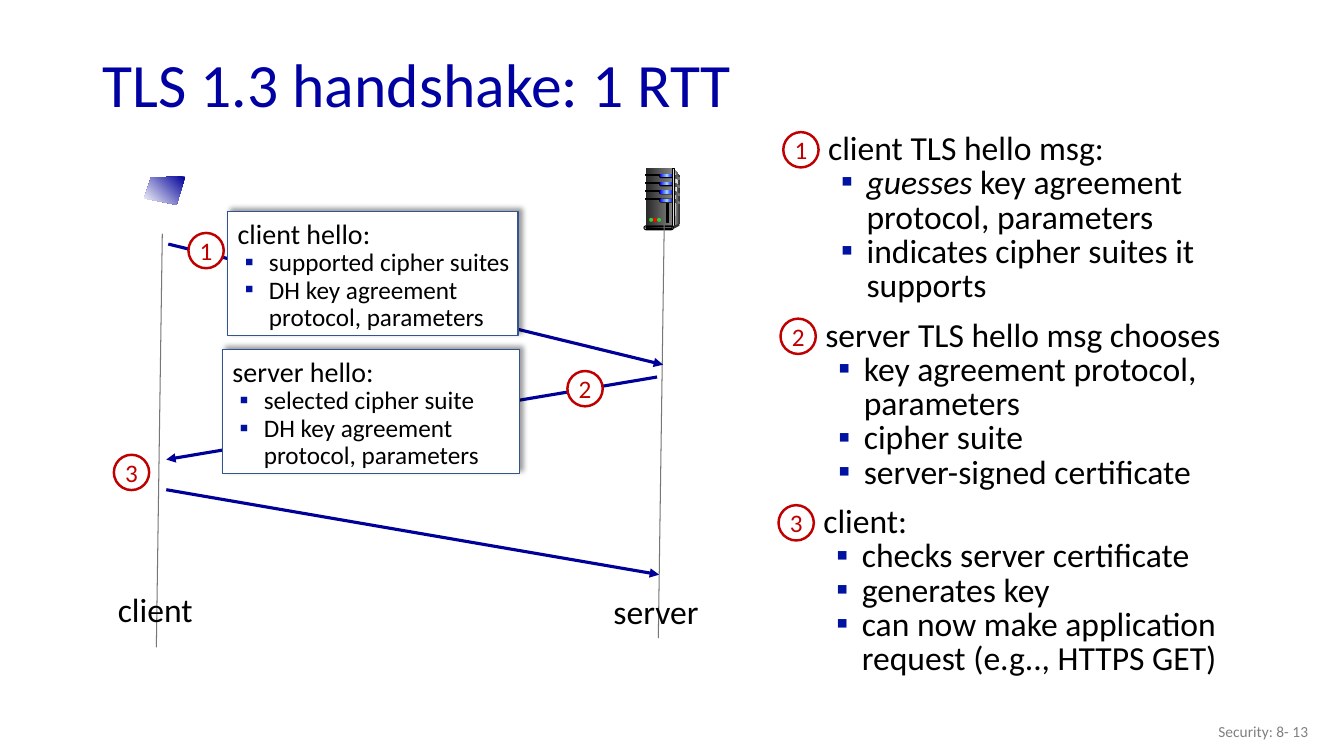
from lxml import etree
from pptx import Presentation
from pptx.dml.color import RGBColor
from pptx.enum.shapes import MSO_CONNECTOR, MSO_SHAPE as SHAPE
from pptx.enum.text import MSO_ANCHOR as ANCHOR, PP_ALIGN as ALIGN
from pptx.oxml import parse_xml
from pptx.oxml.ns import nsdecls, qn
from pptx.util import Cm, Pt

# Content; all lengths are in centimetres
TITLE = "TLS 1.3 handshake: 1 RTT"
FOOTER = "Security: 8- 13"
CARDS = [  # box, heading, bullets
    ((5.74, 5.33, 7.32, 3.12), "client hello:",
     ["supported cipher suites", "DH key agreement protocol, parameters"]),
    ((5.61, 8.81, 7.49, 3.12), "server hello:",
     ["selected cipher suite", "DH key agreement protocol, parameters"]),
]
STEPS = [  # left, heading, bullets; a tuple starts with its italic words
    (20.62, "client TLS hello msg:",
     [("guesses ", "key agreement protocol, parameters"),
      "indicates cipher suites it supports"]),
    (20.55, "server TLS hello msg chooses",
     ["key agreement protocol, parameters", "cipher suite",
      "server-signed certificate"]),
    (20.5, "client:",
     ["checks server certificate", "generates key",
      "can now make application request (e.g.., HTTPS GET)"]),
]
STEP_TOP, STEP_PITCH = 3.23, 4.7
LIFELINES = [((4.09, 5.89), (3.94, 16.31)), ((16.74, 5.66), (16.59, 16.08))]
MESSAGES = [((4.24, 6.15), (16.71, 9.19)), ((16.56, 9.5), (4.19, 11.58)),
            ((4.19, 12.34), (16.61, 14.48))]
BADGES = [(4.75, 5.87), (14.3, 9.35), (2.87, 11.46)]
BADGE_SIZE = 0.89
ENDPOINTS = [("client", 2.72, 14.86), ("server", 15.21, 14.91)]

BLACK, WHITE, NAVY, RED = "000000", "FFFFFF", "000099", "C00000"
DARK, GREY = "292929", "808080"
BLUE_GLOW = ("0000FF", "99CCFF", "0000FF")

prs = Presentation()
prs.slide_width, prs.slide_height = Cm(33.87), Cm(19.05)
s = prs.slides.add_slide(prs.slide_layouts[6])


# Drawing helpers
def rgb(color):
    return RGBColor.from_string(color)


def paint(sp, fill, line=None, width=0.75, angle=0):
    """Fill with a hex colour, or a tuple of evenly spaced gradient colours."""
    sp.shadow.inherit = False
    if isinstance(fill, tuple):
        stops = "".join(
            f'<a:gs pos="{100000 * i // (len(fill) - 1)}"><a:srgbClr val="{c}"/></a:gs>'
            for i, c in enumerate(fill))
        geometry = sp._element.spPr.find(qn("a:custGeom"))
        if geometry is None:
            geometry = sp._element.spPr.find(qn("a:prstGeom"))
        geometry.addnext(parse_xml(
            f'<a:gradFill {nsdecls("a")} rotWithShape="1"><a:gsLst>{stops}</a:gsLst>'
            f'<a:lin ang="{angle * 60000}" scaled="1"/></a:gradFill>'))
    else:
        sp.fill.solid()
        sp.fill.fore_color.rgb = rgb(fill)
    if line:
        sp.line.color.rgb = rgb(line)
        sp.line.width = Pt(width)
    else:
        sp.line.fill.background()
    return sp


def shape(kind, box, fill, line=None, width=0.75):
    return paint(s.shapes.add_shape(kind, *map(Cm, box)), fill, line, width)


def polygon(points, fill, angle=0):
    pts = [(Cm(x), Cm(y)) for x, y in points]
    builder = s.shapes.build_freeform(*pts[0])
    builder.add_line_segments(pts[1:], close=True)
    return paint(builder.convert_to_shape(), fill, angle=angle)


def connect(ends, color, width, arrow=False):
    (x1, y1), (x2, y2) = ends
    c = s.shapes.add_connector(MSO_CONNECTOR.STRAIGHT, Cm(x1), Cm(y1), Cm(x2), Cm(y2))
    c.line.color.rgb, c.line.width = rgb(color), Pt(width)
    if arrow:
        etree.SubElement(c.line._get_or_add_ln(), qn("a:tailEnd"), type="triangle")
    etree.SubElement(c._element.spPr, qn("a:effectLst"))


def style(p, size, color=BLACK, align=ALIGN.LEFT, spacing=1.0):
    p.alignment, p.line_spacing = align, spacing
    for r in p.runs:
        r.font.name, r.font.size, r.font.color.rgb = "Calibri", Pt(size), rgb(color)


def text(box, content, size, color=BLACK, anchor=ANCHOR.TOP, **options):
    tf = s.shapes.add_textbox(*map(Cm, box)).text_frame
    tf.word_wrap, tf.vertical_anchor = True, anchor
    tf.text = content
    style(tf.paragraphs[0], size, color, **options)
    return tf


def bullets(tf, items, size, spacing, margin, hang):
    for item in items:
        italic, rest = item if isinstance(item, tuple) else ("", item)
        p = tf.add_paragraph()
        p.text = italic or rest
        if italic:
            p.runs[0].font.italic = True
            p.add_run().text = rest
        style(p, size, spacing=spacing)
        pPr = p._p.get_or_add_pPr()
        pPr.set("marL", str(Cm(margin)))
        pPr.set("indent", str(-Cm(hang)))
        color = etree.SubElement(pPr, qn("a:buClr"))
        etree.SubElement(color, qn("a:srgbClr"), val="0012A0")
        etree.SubElement(pPr, qn("a:buFont"), typeface="Calibri")
        etree.SubElement(pPr, qn("a:buChar"), char="▪")


def badge(number, x, y):
    sp = shape(SHAPE.OVAL, (x, y, BADGE_SIZE, BADGE_SIZE), WHITE, RED, 1.75)
    tf = sp.text_frame
    tf.margin_left = tf.margin_right = tf.margin_top = tf.margin_bottom = 0
    tf.word_wrap, tf.vertical_anchor = False, ANCHOR.MIDDLE
    tf.text = str(number)
    style(tf.paragraphs[0], 18, RED, ALIGN.CENTER)


def server_tower():
    polygon([(16.97, 4.24), (17.12, 4.42), (17.12, 5.64), (16.94, 5.72)],
            ("DDDDDD", "333333"))
    shape(SHAPE.RECTANGLE, (16.28, 4.24, 0.66, 1.47), (DARK, GREY))
    polygon([(16.97, 4.32), (17.07, 4.45), (17.04, 5.3), (16.97, 5.66)],
            (GREY, "F8F8F8"))
    for i in range(4):  # drive bays with their side vents
        y = 4.39 + 0.205 * i
        shape(SHAPE.RECTANGLE, (16.28, y, 0.36, 0.03), BLACK, BLACK)
        for box, fill in (((16.61, y, 0.36, 0.1), BLACK),
                          ((16.63, y, 0.34, 0.08), BLUE_GLOW)):
            shape(SHAPE.ROUNDED_RECTANGLE, box, fill).adjustments[0] = 0.5
        polygon([(16.96, y), (17.12, y + 0.08), (17.12, y + 0.14), (16.95, y + 0.06)],
                (DARK, GREY))
    shape(SHAPE.RECTANGLE, (16.94, 4.24, 0.05, 1.47), ("333333", "DDDDDD", "333333"), BLACK)
    polygon([(16.97, 5.69), (16.97, 5.77), (17.12, 5.69), (17.12, 5.64)], "333333")
    for box, fill in (((16.23, 5.69, 0.74, 0.1), "DDDDDD"),
                      ((16.28, 5.71, 0.66, 0.05), (BLACK, GREY))):
        shape(SHAPE.ROUNDED_RECTANGLE, box, fill, BLACK).adjustments[0] = 0.5
    for i, light in enumerate(("33CC33", "FF0000", "33CC33")):
        shape(SHAPE.OVAL, (16.36 + 0.1 * i, 5.49, 0.1, 0.1), light)
    shape(SHAPE.RECTANGLE, (16.81, 5.13, 0.05, 0.48), DARK, BLACK)


# Title and footer
text((2.34, 0.97, 29.21, 2.49), TITLE, 44, "0000A3", ANCHOR.MIDDLE, spacing=0.9)
text((25.6, 17.91, 7.62, 1.02), FOOTER, 11, GREY, ANCHOR.MIDDLE, align=ALIGN.RIGHT)

# Client screen, server, lifelines and messages
polygon([(4.67, 4.45), (3.81, 4.47), (3.63, 5), (4.45, 5.16)], (NAVY, WHITE), 135)
server_tower()
for ends in LIFELINES:
    connect(ends, "777777", 0.75)
for ends in MESSAGES:
    connect(ends, NAVY, 2.25, arrow=True)
for name, x, y in ENDPOINTS:
    text((x, y, 2.82, 1.14), name, 24, spacing=0.85)

# Message cards
for box, heading, items in CARDS:
    card = shape(SHAPE.RECTANGLE, box, WHITE, "325491", 1)
    shadow = etree.SubElement(
        card._element.spPr.find(qn("a:effectLst")), qn("a:outerShdw"),
        blurRad=str(Pt(4)), dist=str(Pt(3)), dir=str(315 * 60000), algn="bl", rotWithShape="0")
    black = etree.SubElement(shadow, qn("a:srgbClr"), val=BLACK)
    etree.SubElement(black, qn("a:alpha"), val="40000")
    tf = card.text_frame
    tf.word_wrap, tf.vertical_anchor, tf.margin_right = True, ANCHOR.TOP, 0
    tf.text = heading
    style(tf.paragraphs[0], 20)
    bullets(tf, items, 18, 0.9, 0.79, 0.61)
for number, (x, y) in enumerate(BADGES, 1):
    badge(number, x, y)

# Explained steps
for i, (x, heading, items) in enumerate(STEPS):
    y = STEP_TOP + STEP_PITCH * i
    tf = text((x, y, 11.5, 4.62), heading, 24, spacing=0.85)
    bullets(tf, items, 24, 0.85, 0.97, 0.64)
    badge(i + 1, x - 0.88, y + 0.1)

prs.save("out.pptx")
